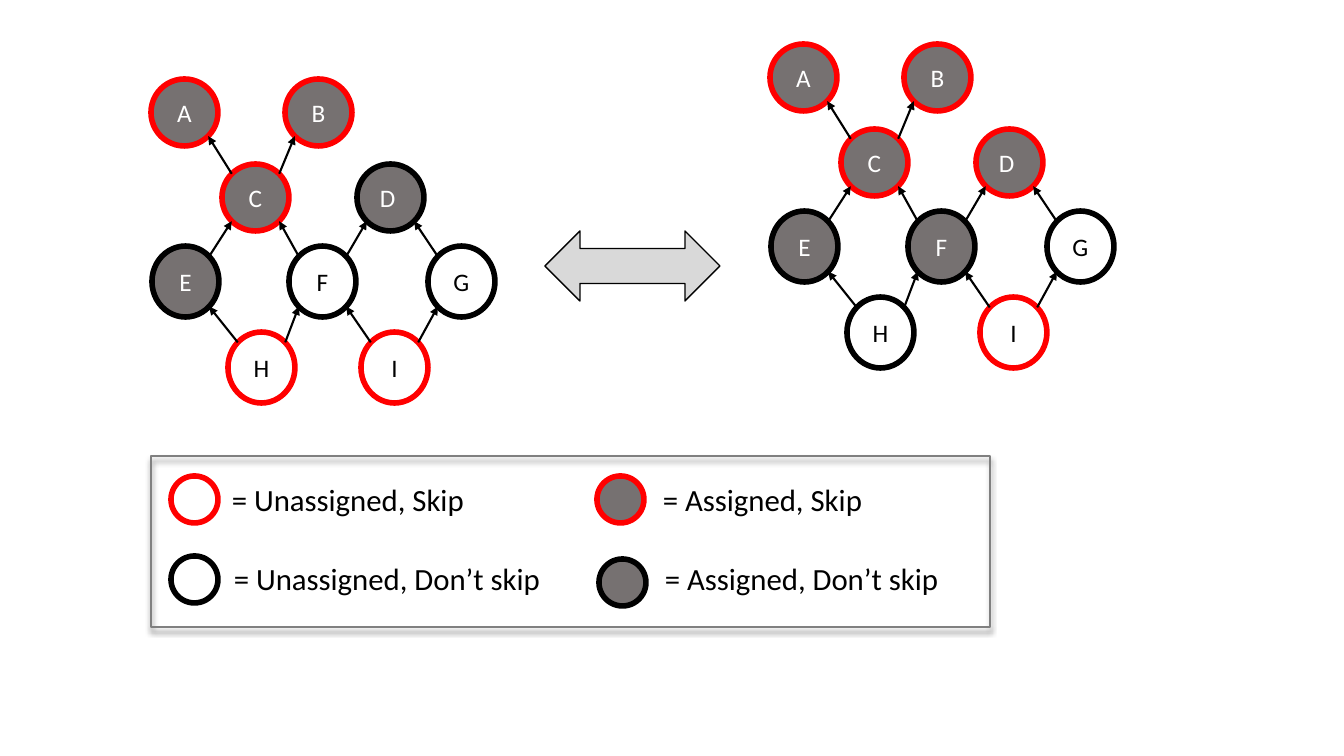
"""Build the slide of two node graphs and their legend."""
from lxml import etree
from pptx import Presentation
from pptx.dml.color import RGBColor
from pptx.enum.shapes import MSO_CONNECTOR, MSO_SHAPE
from pptx.enum.text import MSO_ANCHOR, MSO_AUTO_SIZE, PP_ALIGN
from pptx.oxml import parse_xml
from pptx.oxml.ns import nsdecls, qn
from pptx.util import Pt

ELLIPSE = MSO_SHAPE.OVAL
RECT = MSO_SHAPE.RECTANGLE
DOUBLE_ARROW = MSO_SHAPE.LEFT_RIGHT_ARROW
STRAIGHT = MSO_CONNECTOR.STRAIGHT
CENTER, LEFT = PP_ALIGN.CENTER, PP_ALIGN.LEFT
MIDDLE, TOP = MSO_ANCHOR.MIDDLE, MSO_ANCHOR.TOP
GROW = MSO_AUTO_SIZE.SHAPE_TO_FIT_TEXT

BLACK, WHITE, RED = "000000", "FFFFFF", "FF0000"
ASSIGNED, ARROW_FILL, FRAME = "767171", "D9D9D9", "808080"
DIAGONAL_INSET = 0.146


def px(n):
    return round(n * 914400 / 100.8)


def color(value):
    return RGBColor.from_string(value)


def write(tf, text, size=18, fill=BLACK, align=LEFT, anchor=TOP, font="Calibri"):
    tf.vertical_anchor = anchor
    p = tf.paragraphs[0]
    p.alignment = align
    r = p.add_run()
    r.text = text
    r.font.name = font
    r.font.size = Pt(size)
    r.font.color.rgb = color(fill)


class Deck:
    def __init__(self):
        self.prs = Presentation()
        self.prs.slide_width, self.prs.slide_height = px(1344), px(756)
        self.s = self.prs.slides.add_slide(self.prs.slide_layouts[6])

    def shape(self, kind, x, y, w, h, fill=None, line=BLACK, weight=4):
        sp = self.s.shapes.add_shape(kind, px(x), px(y), px(w), px(h))
        sp.shadow.inherit = False
        if fill:
            sp.fill.solid()
            sp.fill.fore_color.rgb = color(fill)
        else:
            sp.fill.background()
        sp.line.color.rgb = color(line)
        sp.line.width = Pt(weight)
        return sp

    def circle(self, x, y, w, h, assigned, skip, label=""):
        sp = self.shape(ELLIPSE, x, y, w, h, ASSIGNED if assigned else None,
                        RED if skip else BLACK)
        if label:
            write(sp.text_frame, label, fill=WHITE if assigned else BLACK,
                  align=CENTER, anchor=MIDDLE)

    def arrow(self, x1, y1, x2, y2):
        c = self.s.shapes.add_connector(STRAIGHT, px(x1), px(y1), px(x2), px(y2))
        c.line.color.rgb = color(BLACK)
        c.line.width = Pt(1.5)
        etree.SubElement(c.line._get_or_add_ln(), qn("a:tailEnd"), type="triangle")
        etree.SubElement(c._element.spPr, qn("a:effectLst"))

    def text(self, x, y, w, h, text):
        tf = self.s.shapes.add_textbox(px(x), px(y), px(w), px(h)).text_frame
        tf.word_wrap = False
        tf.auto_size = GROW
        write(tf, text, size=22)

    def frame(self, x, y, w, h):
        sp = self.shape(RECT, x, y, w, h, line=FRAME, weight=1.75)
        sp._element.spPr.find(qn("a:effectLst")).append(parse_xml(
            f'<a:outerShdw {nsdecls("a")} blurRad="{Pt(4)}" dist="{Pt(3)}" '
            f'dir="5400000" algn="t" rotWithShape="0"><a:srgbClr val="{BLACK}">'
            '<a:alpha val="40000"/></a:srgbClr></a:outerShdw>'))

    def graph(self, dx, dy, assigned, skip):
        for name, (x, y, w, h) in NODES.items():
            label = "D " if name == "D" else name
            self.circle(x + dx, y + dy, w, h, name in assigned, name in skip, label)
        for low, high in EDGES:
            x1, y1, w1, h1 = NODES[low]
            x2, y2, w2, h2 = NODES[high]
            near, far = DIAGONAL_INSET, 1 - DIAGONAL_INSET
            start, end = (near, far) if x1 > x2 else (far, near)
            self.arrow(x1 + dx + w1 * start, y1 + dy + h1 * near,
                       x2 + dx + w2 * end, y2 + dy + h2 * far)


ROWS = [
    (79, 67, {"A": 151, "B": 285}),
    (164, 67, {"C": 222, "D": 357}),
    (246, 71, {"E": 152, "F": 289, "G": 428}),
    (332, 71, {"H": 228, "I": 361}),
]
NODES = {name: (x, y, 67, h) for y, h, row in ROWS for name, x in row.items()}
EDGES = ["CA", "CB", "EC", "FC", "FD", "GD", "HE", "HF", "IF", "IG"]

LEGEND = [
    (171, 476, 222, 476, 255, False, True, "= Unassigned, Skip"),
    (171, 556, 224, 555, 330, False, False, "= Unassigned, Don’t skip"),
    (597, 476, 653, 476, 222, True, True, "= Assigned, Skip"),
    (599, 559, 655, 555, 296, True, False, "= Assigned, Don’t skip"),
]

deck = Deck()
deck.graph(0, 0, assigned="ABCDE", skip="ABCHI")
deck.graph(619, -35, assigned="ABCDEF", skip="ABCDI")
deck.shape(DOUBLE_ARROW, 545, 231, 175, 70, fill=ARROW_FILL, weight=1)
for x, y, text_x, text_y, text_w, assigned, skip, meaning in LEGEND:
    deck.circle(x, y, 47, 47, assigned, skip)
    deck.text(text_x, text_y, text_w, 47, meaning)
deck.frame(151, 456, 839, 171)
deck.prs.save("out.pptx")
